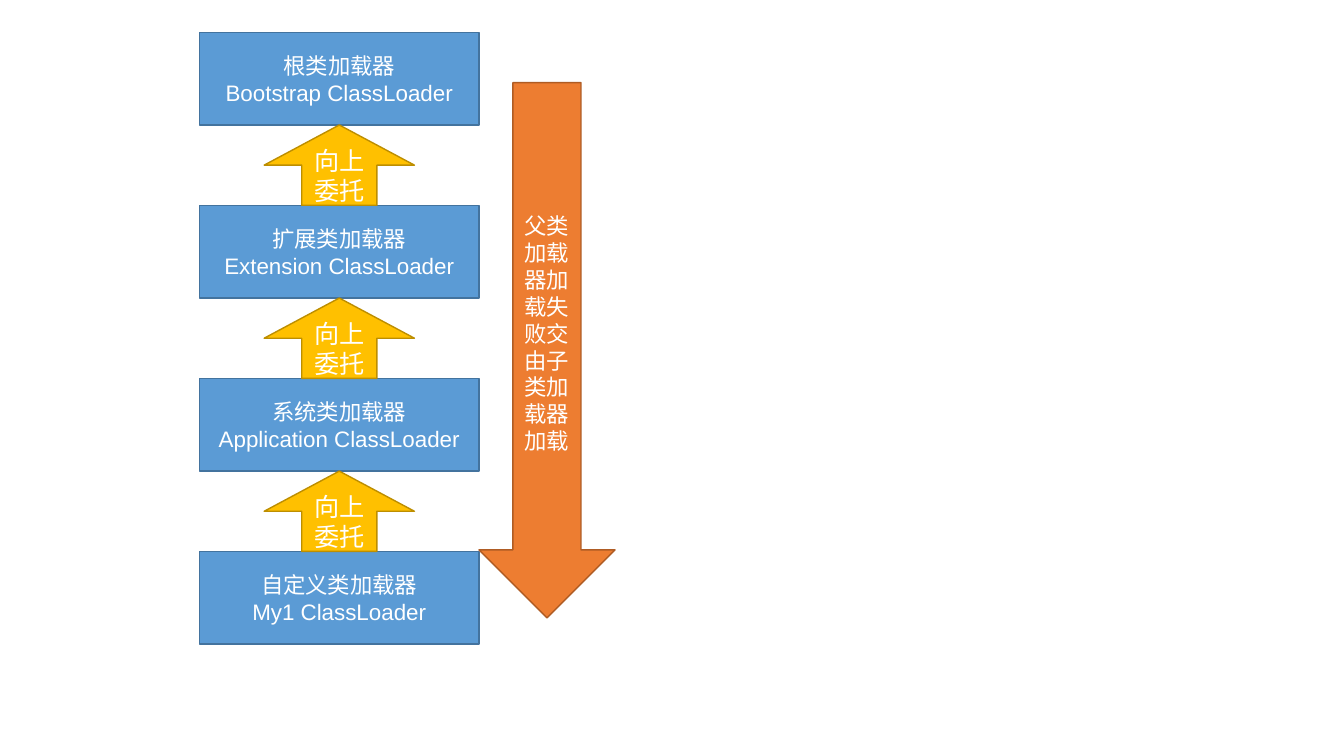
from dataclasses import dataclass

from pptx import Presentation
from pptx.dml.color import RGBColor
from pptx.enum.shapes import MSO_SHAPE as Preset
from pptx.enum.text import MSO_ANCHOR as Anchor, PP_ALIGN as Align
from pptx.util import Inches, Pt


@dataclass(frozen=True)
class Theme:
    font: str = "Arial"
    text: str = "FFFFFF"
    loader: tuple = ("5B9BD5", "43739E")  # fill, outline
    delegate: tuple = ("FFC000", "BD8E00")
    fallback: tuple = ("ED7D31", "AF5C24")
    body_size: int = 16
    delegate_size: int = 18
    outline: int = 1


theme = Theme()

presentation = Presentation()
presentation.slide_width, presentation.slide_height = Inches(13.33), Inches(7.5)
slide = presentation.slides.add_slide(presentation.slide_layouts[6])


def add_block(preset, box, colors, lines, size):
    shape = slide.shapes.add_shape(preset, *map(Inches, box))
    shape.shadow.inherit = False
    fill_color, line_color = map(RGBColor.from_string, colors)
    shape.fill.solid()
    shape.fill.fore_color.rgb = fill_color
    shape.line.color.rgb = line_color
    shape.line.width = Pt(theme.outline)
    frame = shape.text_frame
    for name, value in {"word_wrap": True, "vertical_anchor": Anchor.MIDDLE}.items():
        setattr(frame, name, value)
    frame.text = "\n".join(lines)
    font_format = {"name": theme.font, "size": Pt(size)}
    for paragraph in frame.paragraphs:
        paragraph.alignment = Align.CENTER
        font = paragraph.runs[0].font
        for name, value in font_format.items():
            setattr(font, name, value)
        font.color.rgb = RGBColor.from_string(theme.text)


# Grid: one column of loaders, one row per loader
column_left, column_width = 1.98, 2.77
first_top, row_pitch, loader_height = 0.32, 1.717, 0.92
delegate_width = 1.49
delegate_left = column_left + (column_width - delegate_width) / 2

# Class loaders, from parent to child
loaders = [
    ("根类加载器", "Bootstrap ClassLoader"),
    ("扩展类加载器", "Extension ClassLoader"),
    ("系统类加载器", "Application ClassLoader"),
    ("自定义类加载器", "My1 ClassLoader"),
]
for row, names in enumerate(loaders):
    box = (column_left, first_top + row * row_pitch, column_width, loader_height)
    add_block(Preset.RECTANGLE, box, theme.loader, names, theme.body_size)

# Upward delegation arrows fill the gaps between loaders
for row in range(len(loaders) - 1):
    top = first_top + row * row_pitch + loader_height
    box = (delegate_left, top, delegate_width, row_pitch - loader_height)
    add_block(Preset.UP_ARROW, box, theme.delegate, ["向上委托"], theme.delegate_size)

# Downward fallback arrow beside the column
fallback_box = (column_left + column_width, 0.82, 1.35, 5.31)
add_block(Preset.DOWN_ARROW, fallback_box, theme.fallback,
          ["父类加载器加载失败交由子类加载器加载"], theme.body_size)

presentation.save("out.pptx")
